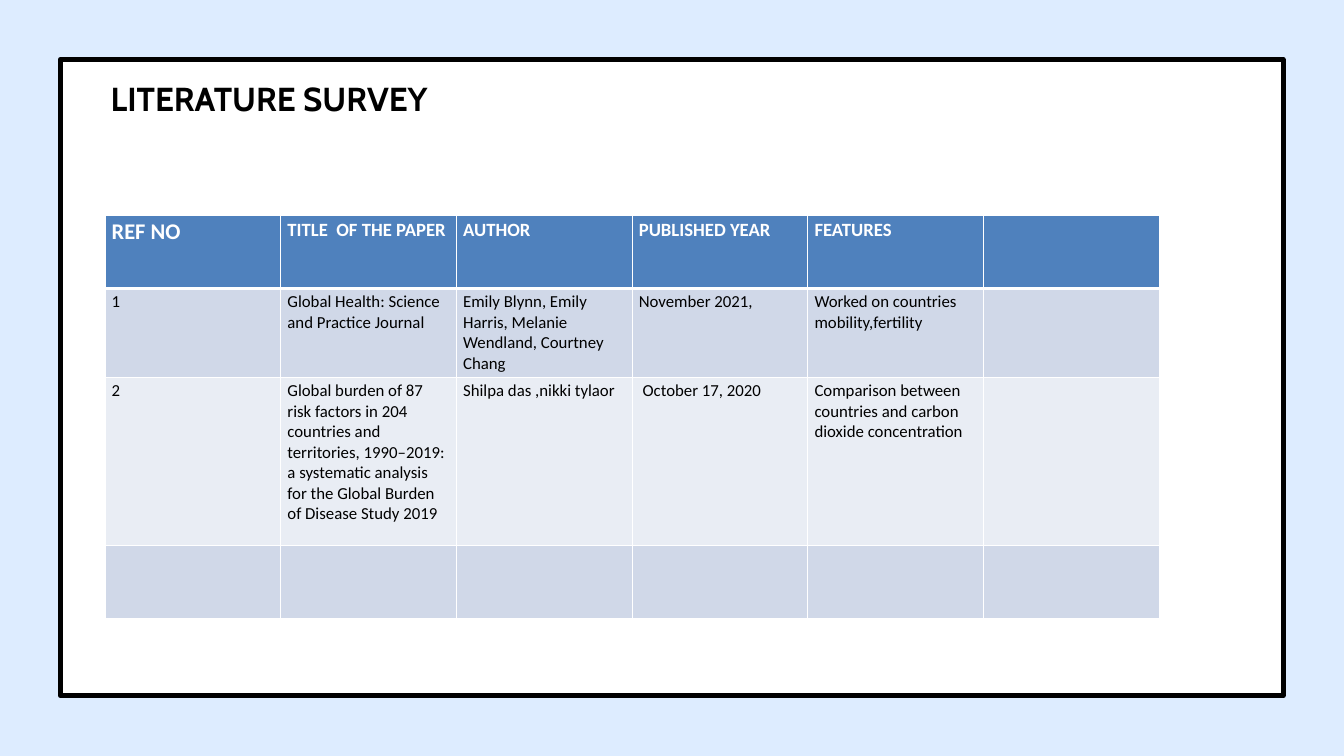
from lxml import etree
from pptx import Presentation
from pptx.dml.color import RGBColor
from pptx.enum.shapes import MSO_SHAPE
from pptx.enum.text import MSO_ANCHOR, PP_ALIGN
from pptx.oxml.ns import qn
from pptx.util import Emu, Pt

RECTANGLE = MSO_SHAPE.RECTANGLE
TOP = MSO_ANCHOR.TOP
CENTER = PP_ALIGN.CENTER
TITLE_ONLY = 5

BLACK, WHITE = "000000", "FFFFFF"
BACKGROUND = "DDECFF"
HEADER_FILL = "4F81BD"
BAND_FILLS = ("E9EDF4", "D0D8E8")

COLUMN_WIDTH = 251
ROW_HEIGHTS = (105, 125, 240, 105)
SURVEY = (
    ("REF NO", "TITLE  OF THE PAPER", "AUTHOR", "PUBLISHED YEAR", "FEATURES", ""),
    ("1", "Global Health: Science and Practice Journal",
     "Emily Blynn, Emily Harris, Melanie Wendland, Courtney Chang",
     "November 2021,", "Worked on countries mobility,fertility", ""),
    ("2", "Global burden of 87 risk factors in 204 countries and territories, "
     "1990–2019: a systematic analysis for the Global Burden of Disease Study 2019",
     "Shilpa das ,nikki tylaor", " October 17, 2020",
     "Comparison between countries and carbon dioxide concentration", ""),
    ("",) * 6,
)


def px(n):
    return Emu(n * 9525)


def rgb(value):
    return RGBColor.from_string(value)


def add_run(p, text, font, size, color, bold=False):
    r = p.add_run()
    r.text = text
    r.font.name = font
    r.font.size = Pt(size)
    r.font.bold = bold
    r.font.color.rgb = rgb(color)


def add_frame(slide, x, y, w, h):
    sp = slide.shapes.add_shape(RECTANGLE, px(x), px(y), px(w), px(h))
    sp.shadow.inherit = False
    sp.fill.solid()
    sp.fill.fore_color.rgb = rgb(WHITE)
    sp.line.color.rgb = rgb(BLACK)
    sp.line.width = Pt(5.25)


def set_title(slide, text, x, y, w, h):
    sp = slide.shapes.title
    sp.left, sp.top, sp.width, sp.height = px(x), px(y), px(w), px(h)
    tf = sp.text_frame
    tf.word_wrap = True
    tf.vertical_anchor = TOP
    tf.margin_left = tf.margin_top = tf.margin_right = tf.margin_bottom = 0
    p = tf.paragraphs[0]
    p.alignment = CENTER
    p.line_spacing = Pt(49.8)
    p.space_before = Pt(0)
    add_run(p, text, "Cabin", 35.6, BLACK, bold=True)


def set_borders(cell, top, bottom):
    """Draw white cell borders; widths of top and bottom in points."""
    tc_pr = cell._tc.get_or_add_tcPr()
    sides = (("a:lnL", 1), ("a:lnR", 1), ("a:lnT", top), ("a:lnB", bottom))
    for i, (tag, width) in enumerate(sides):
        ln = etree.Element(qn(tag), w=str(Pt(width)))
        fill = etree.SubElement(ln, qn("a:solidFill"))
        etree.SubElement(fill, qn("a:srgbClr"), val=WHITE)
        tc_pr.insert(i, ln)


def fill_cell(cell, text, row, col):
    header = row == 0
    cell.fill.solid()
    cell.fill.fore_color.rgb = rgb(HEADER_FILL if header else BAND_FILLS[row % 2])
    set_borders(cell, top=3 if row == 1 else 1, bottom=3 if header else 1)
    if not text:
        return
    if header:
        size = 24 if col == 0 else 20
    else:
        size = 18
    add_run(cell.text_frame.paragraphs[0], text, "Calibri", size,
            WHITE if header else BLACK, bold=header)


def add_survey_table(slide, x, y):
    rows, cols = len(SURVEY), len(SURVEY[0])
    table = slide.shapes.add_table(rows, cols, px(x), px(y), px(cols * COLUMN_WIDTH),
                                   px(sum(ROW_HEIGHTS))).table
    for column in table.columns:
        column.width = px(COLUMN_WIDTH)
    for row, texts in enumerate(SURVEY):
        table.rows[row].height = px(ROW_HEIGHTS[row])
        for col, text in enumerate(texts):
            fill_cell(table.cell(row, col), text, row, col)


def main():
    prs = Presentation()
    prs.slide_width, prs.slide_height = px(1920), px(1080)
    slide = prs.slides.add_slide(prs.slide_layouts[TITLE_ONLY])

    # Background and framed panel, with the panel behind the title
    slide.background.fill.solid()
    slide.background.fill.fore_color.rgb = rgb(BACKGROUND)
    add_frame(slide, 86, 85, 1747, 909)
    title = slide.shapes.title._element
    title.getparent().append(title)

    # Title and table
    set_title(slide, "LITERATURE SURVEY ", 140, 102, 500, 62)
    add_survey_table(slide, 150, 307)

    prs.save("out.pptx")


if __name__ == "__main__":
    main()
